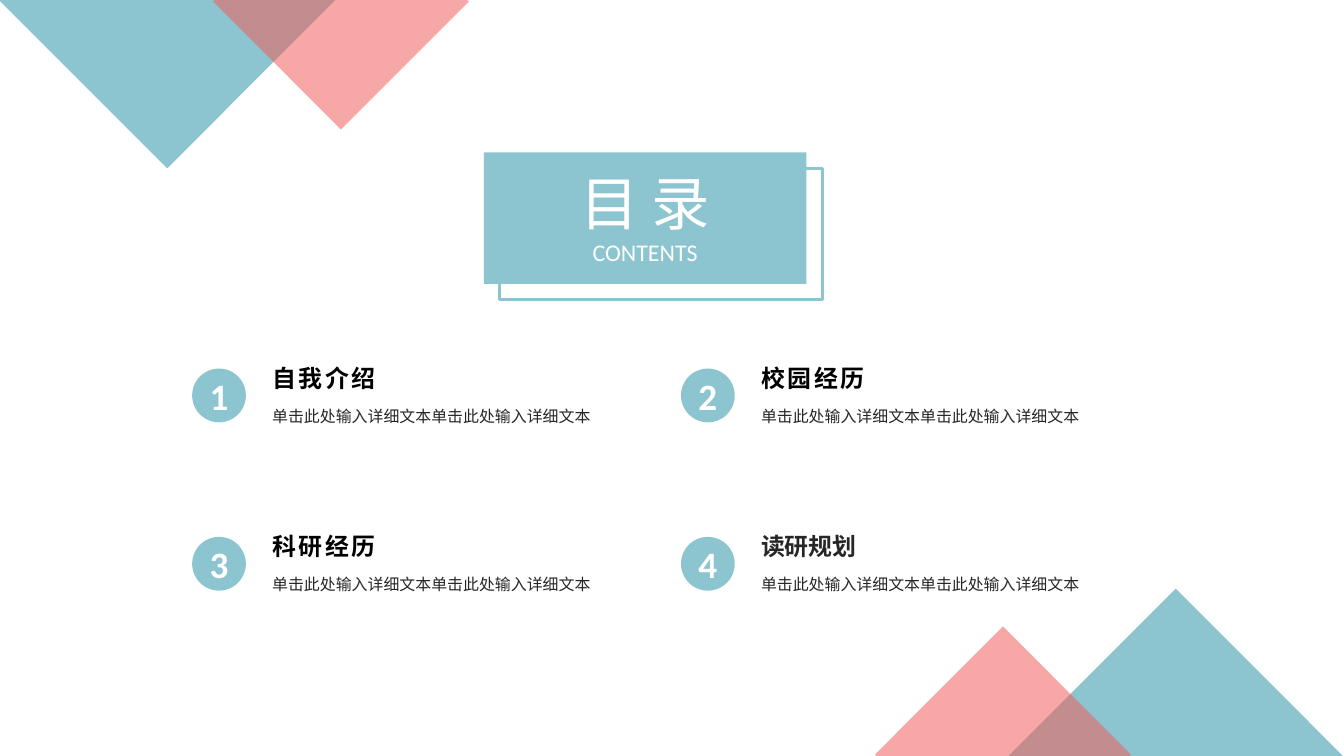
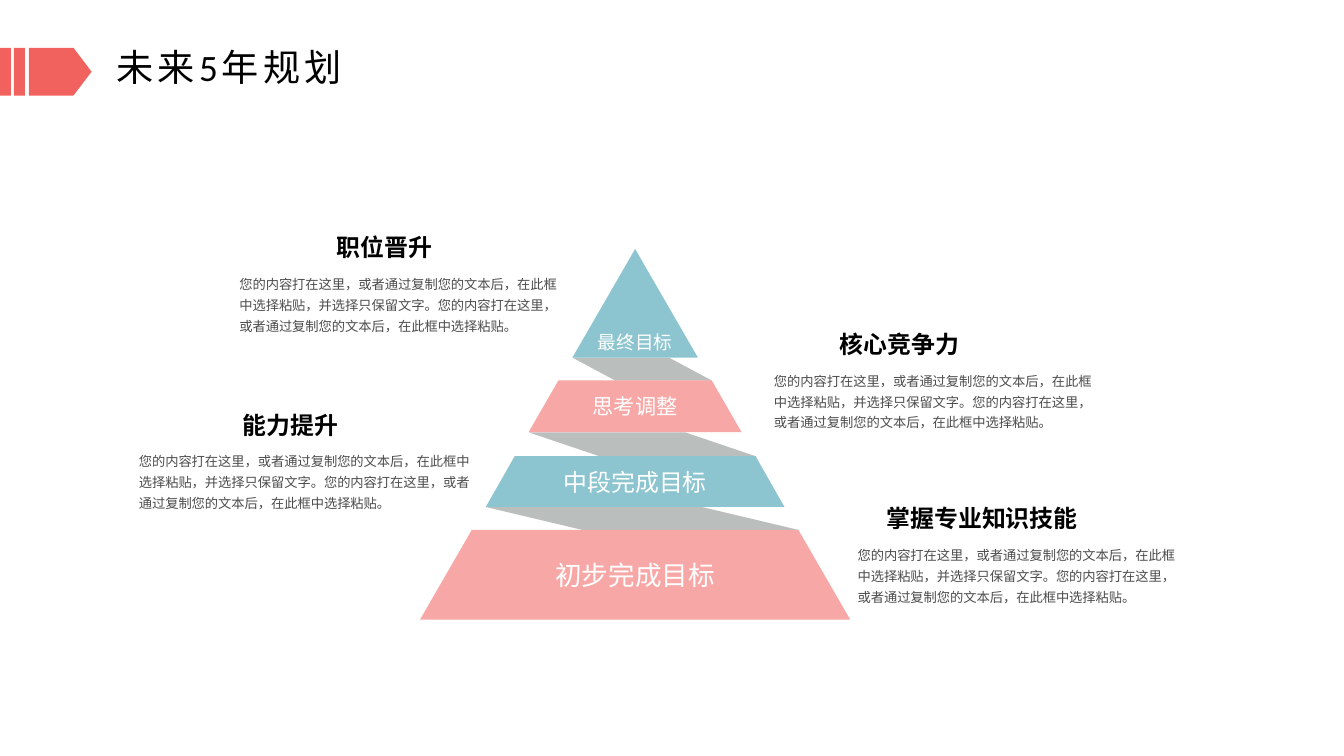
from pptx import Presentation
from pptx import util as u
from pptx.dml.color import RGBColor
from pptx.enum import shapes, text
from pptx.oxml.ns import qn
from lxml import etree

PX = 9525  # EMU per px
W, H = 1350, 759
FONT = "Calibri"
COLORS = {"teal": "8CC5D0", "pink": "F7A8A6", "red": "F1615D", "deep": "007E97",
          "ribbon": "BABEBD", "white": "FFFFFF", "black": "000000",
          "dark": "262626", "gray": "4C4C4C"}
SHAPE, ALIGN, ANCHOR = shapes.MSO_SHAPE, text.PP_ALIGN, text.MSO_ANCHOR

# Contents slide: title, colour, letter spacing
CHAPTERS = [("自我介绍", "black", 2), ("校园经历", "black", 2),
            ("科研经历", "black", 2), ("读研规划", "dark", 0)]
CHAPTER_NOTE = "单击此处输入详细文本单击此处输入详细文本"
GRID_X, GRID_Y, STEP_X, STEP_Y = 193, 370, 491, 169
BADGE = 54
# Corner diamonds: left, top, size, colour, opacity in percent
DIAMONDS = [(-59, -285, 454, "deep", 45), (214, -127, 257, "red", 55),
            (954, 591, 454, "deep", 45), (879, 629, 257, "red", 55)]

# Plan slide: tiers as label, top, bottom, size, colour
PLAN_TITLE = "未来5年规划"
TIERS = [("最终目标", 250, 359, 14, "teal"), ("思考调整", 382, 434, 16, "pink"),
         ("中段完成目标", 458, 509, 18, "teal"), ("初步完成目标", 532, 622, 20, "pink")]
APEX_X, SLOPE = 638, 0.58
RIBBON_W, RIBBON_STEP = 97, 60
# Notes: heading, heading left, top, body left, body width
NOTES = [("职位晋升", 241, 229, 231, 348), ("能力提升", 146, 407, 130, 351),
         ("核心竞争力", 758, 326, 768, 347), ("掌握专业知识技能", 841, 501, 852, 340)]
NOTE_BODY = ("您的内容打在这里，或者通过复制您的文本后，在此框中选择粘贴，并选择只保留文字。"
             "您的内容打在这里，或者通过复制您的文本后，在此框中选择粘贴。")
HEADER_BARS = [(0, 11), (14, 11)]


def rgb(name):
    return RGBColor.from_string(COLORS[name])


def emu(*px):
    return [u.Emu(v * PX) for v in px]


def paint(sp, fill=None, line=None, alpha=None):
    sp.shadow.inherit = False
    if fill:
        sp.fill.solid()
        sp.fill.fore_color.rgb = rgb(fill)
    else:
        sp.fill.background()
    if line:
        sp.line.color.rgb = rgb(line)
        sp.line.width = u.Pt(2)
    else:
        sp.line.fill.background()
    if alpha:
        clr = sp.fill._xPr.find(".//" + qn("a:srgbClr"))
        etree.SubElement(clr, qn("a:alpha"), val=str(alpha * 1000))
    return sp


def shape(s, kind, box, **style):
    return paint(s.shapes.add_shape(kind, *emu(*box)), **style)


def polygon(s, points, fill):
    fb = s.shapes.build_freeform(*points[0], scale=PX)
    fb.add_line_segments(points[1:], close=True)
    return paint(fb.convert_to_shape(), fill)


def write(tf, words, size, color, first=True, align=ALIGN.LEFT, bold=False,
          spc=0, spacing=None):
    tf.word_wrap = True
    p = tf.paragraphs[0] if first else tf.add_paragraph()
    p.alignment = align
    if spacing:
        p.line_spacing = spacing
    r = p.add_run()
    r.text = words
    r.font.name, r.font.size, r.font.bold = FONT, u.Pt(size), bold
    r.font.color.rgb = rgb(color)
    if spc:
        r._r.get_or_add_rPr().set("spc", str(spc * 100))


def textbox(s, box, *args, **kw):
    tf = s.shapes.add_textbox(*emu(*box)).text_frame
    write(tf, *args, **kw)
    return tf


def label(sp, words, size, anchor=ANCHOR.MIDDLE, bold=False):
    tf = sp.text_frame
    tf.vertical_anchor = anchor
    write(tf, words, size, "white", align=ALIGN.CENTER, bold=bold)
    return tf


def contents_slide(s):
    # Title plate
    shape(s, SHAPE.RECTANGLE, (502, 169, 324, 132), line="teal")
    shape(s, SHAPE.RECTANGLE, (486, 153, 324, 132), fill="teal")
    tf = textbox(s, (534, 163, 228, 109), "目 录", 44, "white", align=ALIGN.CENTER)
    write(tf, "CONTENTS", 18, "white", first=False, align=ALIGN.CENTER)
    # Chapters in a two-column grid
    for i, (title, color, spc) in enumerate(CHAPTERS):
        x, y = GRID_X + i % 2 * STEP_X, GRID_Y + i // 2 * STEP_Y
        textbox(s, (x + 71, y - 10, 141, 38), title, 18, color,
                align=ALIGN.JUSTIFY, bold=True, spc=spc)
        textbox(s, (x + 71, y + 24, 348, 36), CHAPTER_NOTE, 12, "dark", spacing=1.5)
        badge = shape(s, SHAPE.OVAL, (x, y, BADGE, BADGE), fill="teal")
        tf = label(badge, str(i + 1), 28, bold=True)
        tf.margin_left = tf.margin_right = tf.margin_top = tf.margin_bottom = 0
    # Corner diamonds
    for x, y, size, color, alpha in DIAMONDS:
        shape(s, SHAPE.DIAMOND, (x, y, size, size), fill=color, alpha=alpha)


def edges(y):
    half = round((y - TIERS[0][1]) * SLOPE)
    return APEX_X - half, APEX_X + half


def plan_slide(s):
    # Ribbons between neighbouring tiers
    for i, (upper, lower) in enumerate(zip(TIERS, TIERS[1:])):
        y1, y2, w = upper[2], lower[1], RIBBON_W + i * RIBBON_STEP
        left, right = edges(y1)[0], edges(y2)[1]
        polygon(s, [(left, y1), (left + w, y1), (right, y2), (right - w, y2)], "ribbon")
    # Pyramid tiers
    for i, (words, top, bottom, size, color) in enumerate(TIERS):
        (tl, tr), (bl, br) = edges(top), edges(bottom)
        outline = [(bl, bottom), (tl, top), (tr, top), (br, bottom)]
        if tl == tr:
            outline.pop(2)
        label(polygon(s, outline, color), words, size,
              ANCHOR.MIDDLE if i else ANCHOR.BOTTOM)
    # Notes beside the pyramid
    for heading, x, y, body_x, body_w in NOTES:
        textbox(s, (x, y, 291, 38), heading, 18, "black", align=ALIGN.CENTER, bold=True)
        textbox(s, (body_x, y + 39, body_w, 73), NOTE_BODY, 10, "gray", spacing=1.3)
    # Header
    arrow = shape(s, SHAPE.PENTAGON, (29, 48, 63, 48), fill="red")
    arrow.adjustments[0] = 0.38
    for x, w in HEADER_BARS:
        shape(s, SHAPE.RECTANGLE, (x, 48, w, 48), fill="red")
    textbox(s, (108, 45, 354, 56), PLAN_TITLE, 28, "black", spc=3, spacing=0.9)


def main():
    prs = Presentation()
    prs.slide_width, prs.slide_height = emu(W, H)
    for build in (contents_slide, plan_slide):
        build(prs.slides.add_slide(prs.slide_layouts[6]))
    prs.save("out.pptx")


if __name__ == "__main__":
    main()
